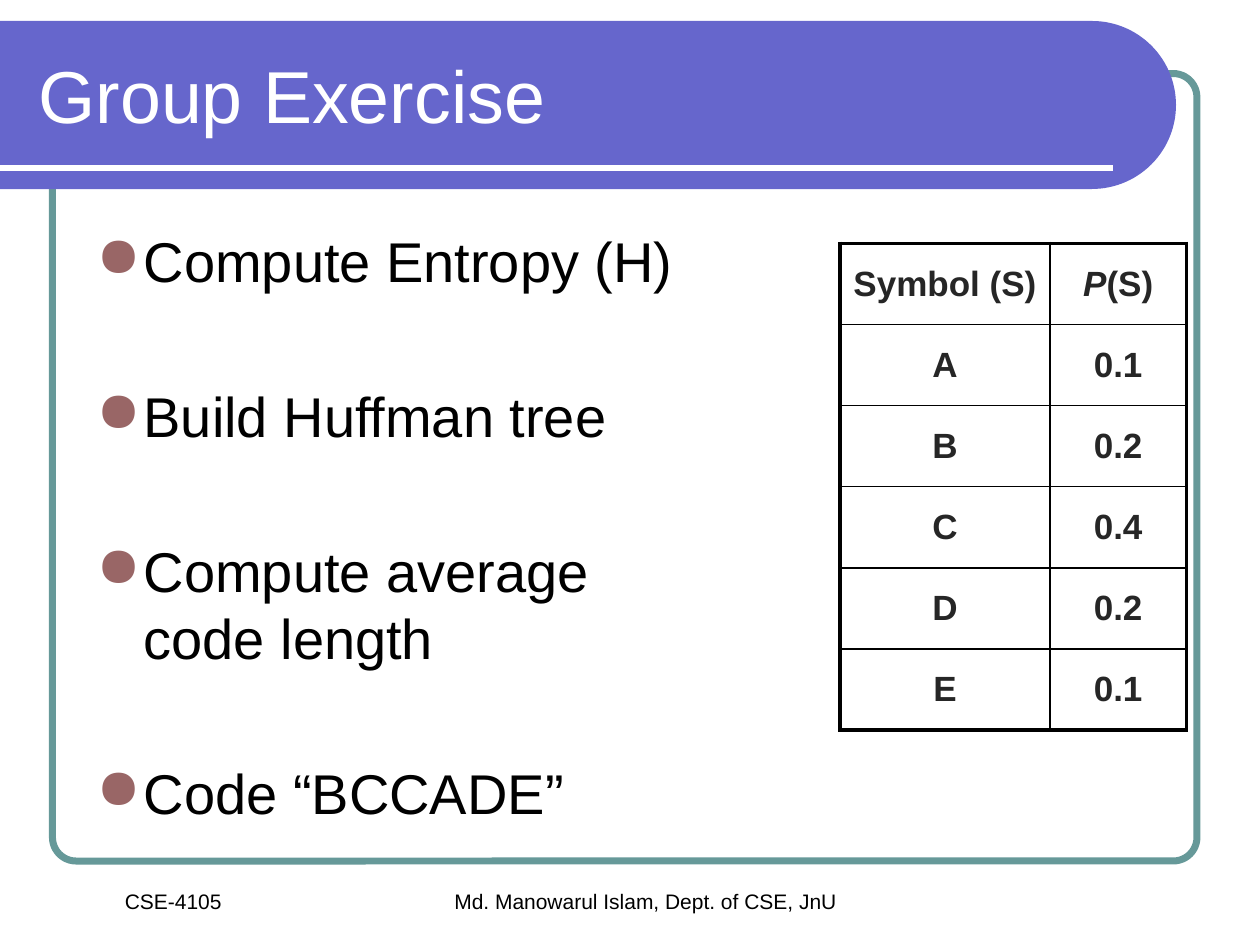
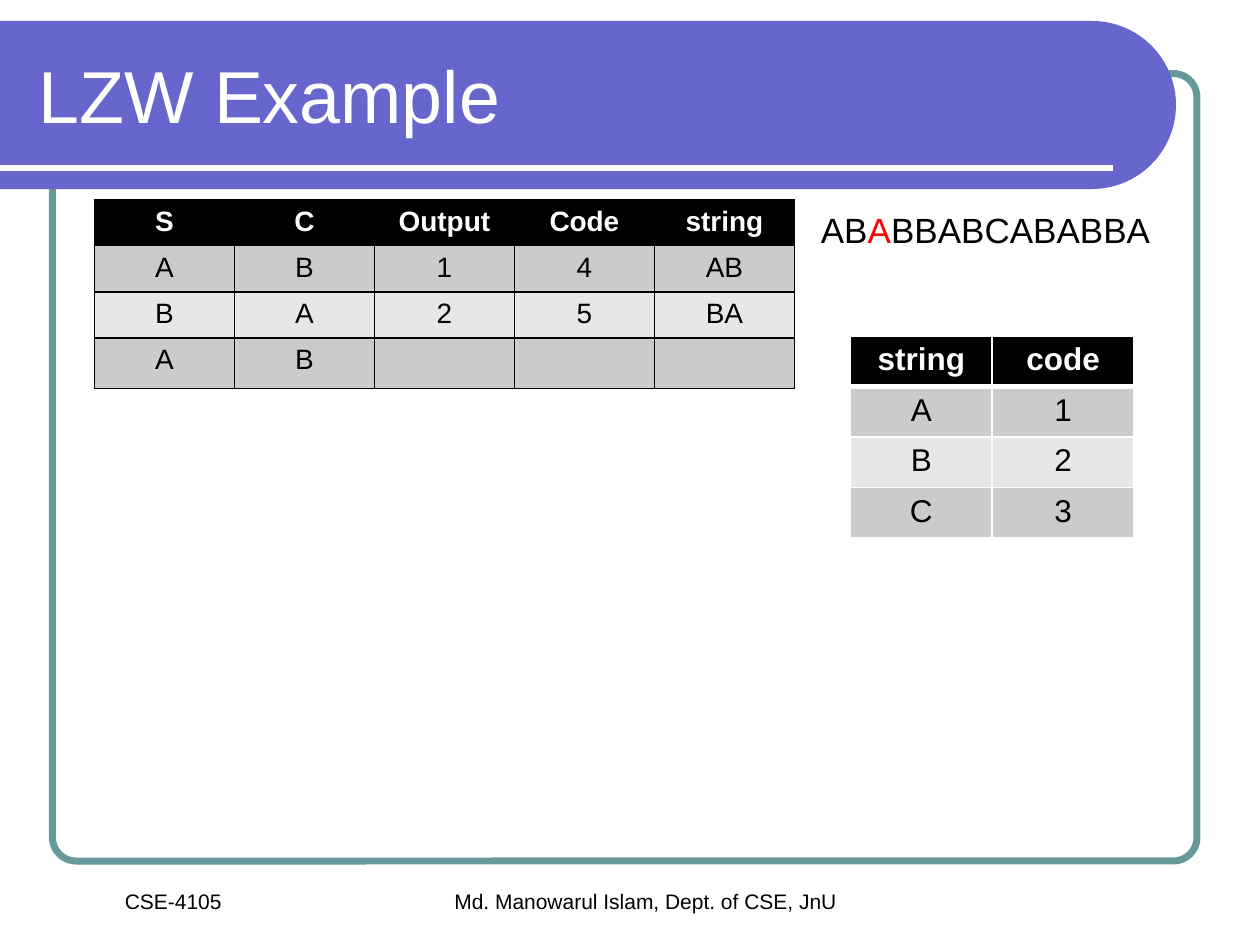
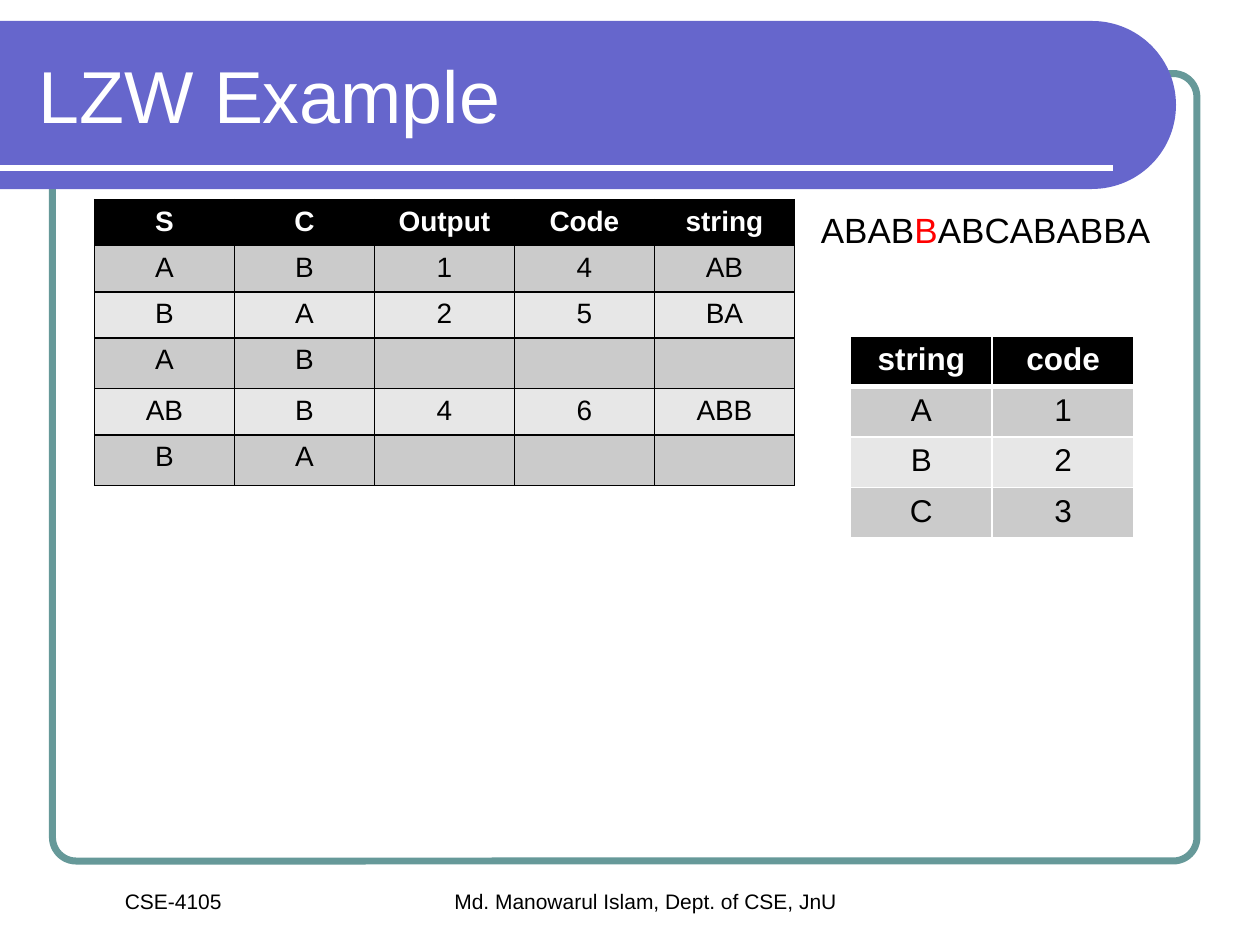
from dataclasses import dataclass
from math import cos, pi, sin
from typing import NamedTuple

from lxml.etree import SubElement
from pptx import Presentation
from pptx.dml.color import RGBColor
from pptx.enum.shapes import MSO_CONNECTOR, MSO_SHAPE
from pptx.enum.text import MSO_ANCHOR, PP_ALIGN
from pptx.oxml.ns import qn
from pptx.util import Pt

FONT = "Arial"
BLACK, WHITE, RED = "000000", "FFFFFF", "FF0000"
INDIGO, TEAL, ROSE = "6666CC", "669999", "996666"
INK, GREY, PALE = "262626", "CBCBCB", "E7E7E7"


class Box(NamedTuple):
    left: float
    top: float
    width: float
    height: float


class Label(NamedTuple):
    text: str
    box: Box
    size: float
    color: str = BLACK
    align: PP_ALIGN = PP_ALIGN.CENTER
    anchor: MSO_ANCHOR = MSO_ANCHOR.TOP


@dataclass
class Grid:
    rows: list[str]
    left: float
    top: float
    cols: list[float]
    height: float
    size: float
    line: str = BLACK
    edge: float = 1        # outer border width
    rule: float = 1        # border width under the header
    banded: bool = True


FOOTERS = [
    Label("Md. Manowarul Islam, Dept. of CSE, JnU", Box(126, 504, 486, 44), 12),
    Label("CSE-4105", Box(18, 504, 162, 22), 12),
]
STEPS = ["Compute Entropy (H)", "Build Huffman tree",
         "Compute average\vcode length", "Code “BCCADE”"]
ODDS = Grid(["Symbol (S)|P(S)", "A|0.1", "B|0.2", "C|0.4", "D|0.2", "E|0.1"],
            480, 139, [120, 78], 46.4, 20, edge=2.25, banded=False)
CODES = Grid(["string|code", "A|1", "B|2", "C|3"],
             486, 192, [81, 81], 28.8, 18, line=WHITE, rule=3)
TRACE = ["S|C|Output|Code|string", "A|B|1|4|AB", "B|A|2|5|BA", "A|B|||",
         "AB|B|4|6|ABB", "B|A|||"]


def rgb(code: str) -> RGBColor:
    return RGBColor.from_string(code)


def style(para, size: float, color: str, bold: bool = False) -> None:
    font = para.font
    font.name, font.size, font.bold = FONT, Pt(size), bold
    font.color.rgb = rgb(color)


def frame(slide, box: Box):
    text = slide.shapes.add_textbox(*map(Pt, box)).text_frame
    text.word_wrap = True
    return text


def label(slide, item: Label) -> None:
    text = frame(slide, item.box)
    text.vertical_anchor = item.anchor
    para = text.paragraphs[0]
    para.text, para.alignment = item.text, item.align
    style(para, item.size, item.color)


def indent(para, left: float = 27):
    props = para._p.get_or_add_pPr()
    props.set("marL", str(Pt(left)))
    props.set("indent", str(-Pt(left)))
    return props


def base(deck, title: str):
    """Add a slide with the frame, title band and footers."""
    slide = deck.slides.add_slide(deck.slide_layouts[6])
    shapes = slide.shapes

    # Rounded frame
    rim = shapes.add_shape(MSO_SHAPE.ROUNDED_RECTANGLE, *map(Pt, (30, 42, 654, 450)))
    rim.adjustments[0] = 0.03
    rim.shadow.inherit = False
    rim.fill.background()
    rim.line.color.rgb, rim.line.width = rgb(TEAL), Pt(4)

    # Band with a half-round right end
    mid, radius, steps = 60, 48, 60
    turns = [pi * i / steps - pi / 2 for i in range(steps + 1)]
    arc = [(Pt(624 + radius * cos(t)), Pt(mid + radius * sin(t))) for t in turns]
    path = shapes.build_freeform(0, Pt(mid - radius))
    path.add_line_segments(arc + [(0, Pt(mid + radius))])
    band = path.convert_to_shape()
    band.shadow.inherit = False
    band.fill.solid()
    band.fill.fore_color.rgb = rgb(INDIGO)
    band.line.fill.background()

    # Rule under the title
    rule = shapes.add_connector(MSO_CONNECTOR.STRAIGHT, *map(Pt, (0, 96, 636, 96)))
    rule.line.color.rgb, rule.line.width = rgb(WHITE), Pt(3)
    SubElement(rule._element.spPr, qn("a:effectLst"))

    for item in FOOTERS:
        label(slide, item)
    label(slide, Label(title, Box(15, 18, 631.5, 72), 42, WHITE,
                       PP_ALIGN.LEFT, MSO_ANCHOR.MIDDLE))
    return slide


def border(cell, side: str, color: str, width: float) -> None:
    line = SubElement(cell._tc.get_or_add_tcPr(), qn("a:ln" + side), w=str(Pt(width)))
    fill = SubElement(line, qn("a:solidFill"))
    SubElement(fill, qn("a:srgbClr"), val=color)


def grid(slide, item: Grid):
    rows = [row.split("|") for row in item.rows]
    high, wide = len(rows), len(item.cols)
    box = Box(item.left, item.top, sum(item.cols), high * item.height)
    table = slide.shapes.add_table(high, wide, *map(Pt, box)).table
    table.first_row = table.horz_banding = False
    for col, width in zip(table.columns, item.cols):
        col.width = Pt(width)
    for r, row in enumerate(rows):
        table.rows[r].height = Pt(item.height)
        for c, text in enumerate(row):
            cell = table.cell(r, c)
            sides = {
                "L": item.edge if c == 0 else 1,
                "R": item.edge if c == wide - 1 else 1,
                "T": item.edge if r == 0 else item.rule if r == 1 else 1,
                "B": item.edge if r == high - 1 else item.rule if r == 0 else 1,
            }
            for side, width in sides.items():
                border(cell, side, item.line, width)
            if item.banded:
                cell.fill.solid()
                cell.fill.fore_color.rgb = rgb(
                    BLACK if r == 0 else GREY if r % 2 else PALE)
                color = BLACK if r else WHITE
            else:
                cell.fill.background()
                cell.vertical_anchor = MSO_ANCHOR.MIDDLE
                color = INK
            if text:
                para = cell.text_frame.paragraphs[0]
                para.text, para.alignment = text, PP_ALIGN.CENTER
                style(para, item.size, color, r == 0 or not item.banded)
    return table


def exercise(deck) -> None:
    slide = base(deck, "Group Exercise")

    # Bulleted steps
    text = frame(slide, Box(48, 126, 624, 348))
    for i, step in enumerate(STEPS):
        para = text.paragraphs[0] if i == 0 else text.add_paragraph()
        para.text = step
        if i:
            para.space_before = Pt(50)
        props = indent(para)
        tint = SubElement(props, qn("a:buClr"))
        SubElement(tint, qn("a:srgbClr"), val=ROSE)
        SubElement(props, qn("a:buChar"), char="●")
        style(para, 32, BLACK)

    # Probability table, with an italic P in its header
    table = grid(slide, ODDS)
    para = table.cell(0, 1).text_frame.paragraphs[0]
    para.runs[0].text = "P"
    para.runs[0].font.italic = True
    para.add_run().text = "(S)"


def example(deck, done: str, mark: str, rest: str, count: int) -> None:
    """Show the coding trace after count steps, marking the current letter."""
    slide = base(deck, "LZW Example")
    para = frame(slide, Box(462, 120, 294, 36)).paragraphs[0]
    indent(para)
    para.line_spacing = 0.8
    style(para, 20, BLACK)
    for part in (done, mark, rest):
        para.add_run().text = part
    para.runs[1].font.color.rgb = rgb(RED)

    grid(slide, Grid(TRACE[:count + 1], 54, 114, [80] * 5, 26.4, 16))
    grid(slide, CODES)


def main() -> None:
    deck = Presentation()
    deck.slide_width, deck.slide_height = Pt(720), Pt(540)
    exercise(deck)
    example(deck, "AB", "A", "BBABCABABBA", 3)
    example(deck, "ABAB", "B", "ABCABABBA", 5)
    deck.save("out.pptx")


if __name__ == "__main__":
    main()
